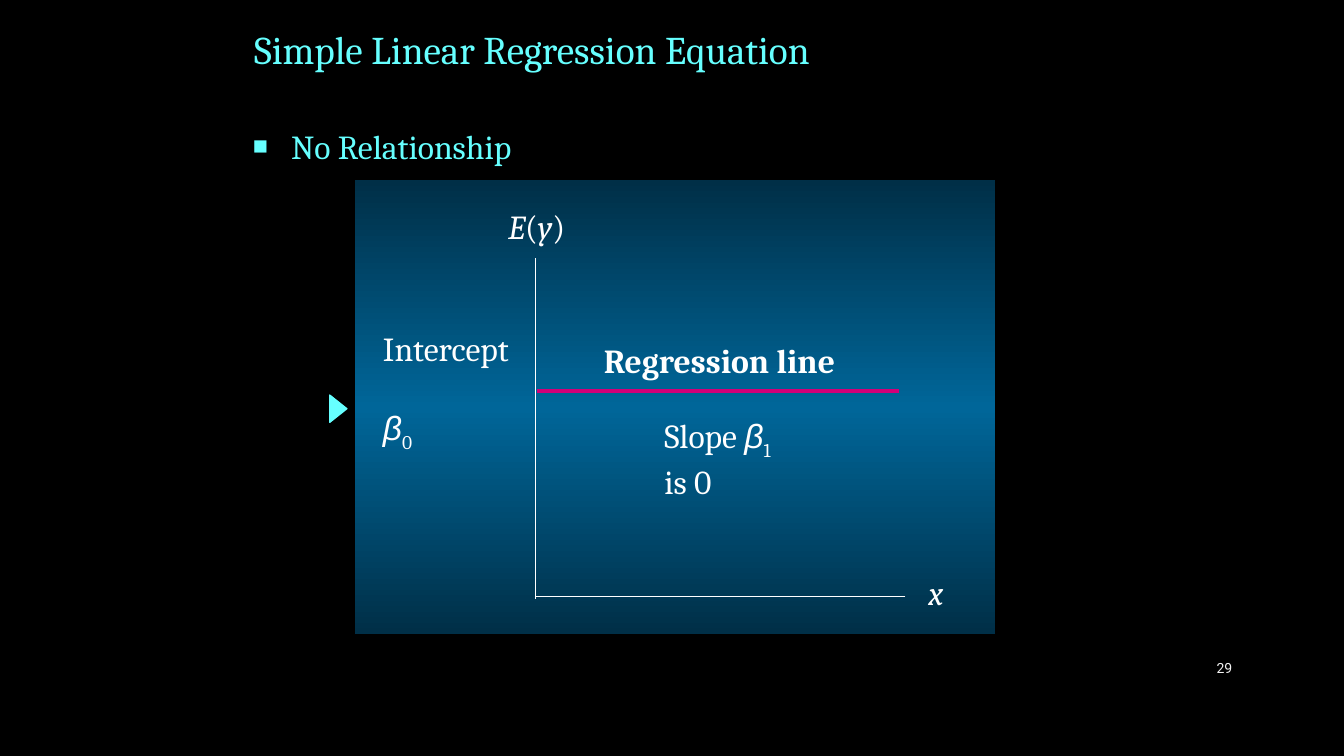
import copy
import pptx
import pptx.util
import pptx.dml.color
import pptx.enum.shapes
import pptx.enum.text
import pptx.oxml
import pptx.oxml.ns

Inches, Pt = pptx.util.Inches, pptx.util.Pt
Rgb = pptx.dml.color.RGBColor.from_string
Align, Anchor = pptx.enum.text.PP_ALIGN, pptx.enum.text.MSO_ANCHOR
Kind = pptx.enum.shapes.MSO_SHAPE
qn = pptx.oxml.ns.qn
NS = 'xmlns:a="http://schemas.openxmlformats.org/drawingml/2006/main"'
HUE = {"back": "000000", "cyan": "66FFFF", "white": "FFFFFF", "edge": "002F47",
       "mid": "006699", "pink": "D20078", "page": "F2F2F2"}

prs = pptx.Presentation()
prs.slide_width, prs.slide_height = Inches(13.33), Inches(7.5)
slide = prs.slides.add_slide(prs.slide_layouts[5])
slide.background.fill.solid()
slide.background.fill.fore_color.rgb = Rgb(HUE["back"])


def style(run, hue="white", size=24, face="Cambria"):
    run.font.name, run.font.size = face, Pt(size)
    run.font.color.rgb = Rgb(HUE[hue])


def label(box, lines, wrap=False):
    """Add a text box; each line is a list of (text, marks), marks being
    i italic, b bold, s subscript, g Greek."""
    shape = slide.shapes.add_textbox(*map(Inches, box))
    frame = shape.text_frame
    frame.word_wrap = wrap
    for n, parts in enumerate(lines):
        para = frame.paragraphs[0] if n == 0 else frame.add_paragraph()
        for text, marks in parts:
            run = para.add_run()
            run.text = text
            style(run, face="Arial" if "g" in marks else "Cambria")
            run.font.italic, run.font.bold = "i" in marks, "b" in marks
            if "s" in marks:
                run.font._element.set("baseline", "-25000")
    return shape


# Title and bullet
title = slide.shapes.title
title.left, title.top, title.width, title.height = map(Inches, (2.42, 0.04, 8.5, 0.89))
title.text_frame.text = "Simple Linear Regression Equation"
title.text_frame.vertical_anchor = Anchor.MIDDLE
head = title.text_frame.paragraphs[0]
head.alignment = Align.LEFT
style(head.runs[0], "cyan", 28)

point = label((2.41, 1.2, 8.5, 0.55), [[("No Relationship", "")]], True).text_frame.paragraphs[0]
style(point.runs[0], "cyan")
point.space_before = Pt(4.8)
props = point._p.get_or_add_pPr()
props.set("marL", str(Inches(0.38)))
props.set("indent", str(-Inches(0.38)))
for xml in (f'<a:buClr {NS}><a:srgbClr val="{HUE["cyan"]}"/></a:buClr>',
            f'<a:buSzPct {NS} val="75000"/>',
            f'<a:buFont {NS} typeface="Arial"/>',
            f'<a:buChar {NS} char="■"/>'):
    props.append(pptx.oxml.parse_xml(xml))

# Panel, dark at top and bottom
panel = slide.shapes.add_shape(Kind.RECTANGLE, *map(Inches, (3.52, 1.79, 6.35, 4.5)))
panel.shadow.inherit = False
panel.line.fill.background()
panel.fill.gradient()
panel.fill.gradient_angle = 90
stops = panel._element.spPr.find(".//" + qn("a:gsLst"))
stops.insert(1, copy.deepcopy(stops[0]))
for stop, place, hue in zip(panel.fill.gradient_stops, (0, 0.5, 1), ("edge", "mid", "edge")):
    stop.position = place
    stop.color.rgb = Rgb(HUE[hue])

# Axes and regression line
for x1, y1, x2, y2, hue, width in ((5.31, 2.56, 5.31, 5.94, "white", 0.5),
                                   (8.98, 5.92, 5.31, 5.92, "white", 0.5),
                                   (5.33, 3.88, 8.92, 3.88, "pink", 3)):
    line = slide.shapes.add_connector(pptx.enum.shapes.MSO_CONNECTOR.STRAIGHT,
                                      *map(Inches, (x1, y1, x2, y2)))
    line.line.color.rgb = Rgb(HUE[hue])
    line.line.width = Pt(width)
    line._element.spPr.append(pptx.oxml.parse_xml(f"<a:effectLst {NS}/>"))

# Labels
label((4.94, 1.99, 0.79, 0.5), [[("E", "i"), ("(", ""), ("y", "i"), (")", "")]])
label((9.11, 5.62, 0.37, 0.5), [[("x", "i")]])
label((6.49, 4.07, 1.4, 0.91), [[("Slope ", ""), ("β", "gi"), ("1", "s")], [("is 0", "")]])
label((5.89, 3.32, 2.56, 0.5), [[("Regression line", "b")]])
start = label((3.7, 3.2, 1.59, 0.91), [[("Intercept", "")], [("β", "gi"), ("0", "s")]])
start.text_frame.paragraphs[1].space_before = Pt(28)

# Marker
mark = slide.shapes.add_shape(Kind.ISOSCELES_TRIANGLE, *map(Inches, (3.22, 3.97, 0.27, 0.17)))
mark.rotation = 90
mark.shadow.inherit = False
mark.fill.solid()
mark.fill.fore_color.rgb = mark.line.color.rgb = Rgb(HUE["cyan"])
mark.line.width = Pt(1)

# Page number
page = label((11.5, 6.43, 0.82, 0.4), [[("29", "")]], True).text_frame
page.vertical_anchor = Anchor.MIDDLE
page.paragraphs[0].alignment = Align.RIGHT
style(page.paragraphs[0].runs[0], "page", 10, "Roboto")

prs.save("out.pptx")
